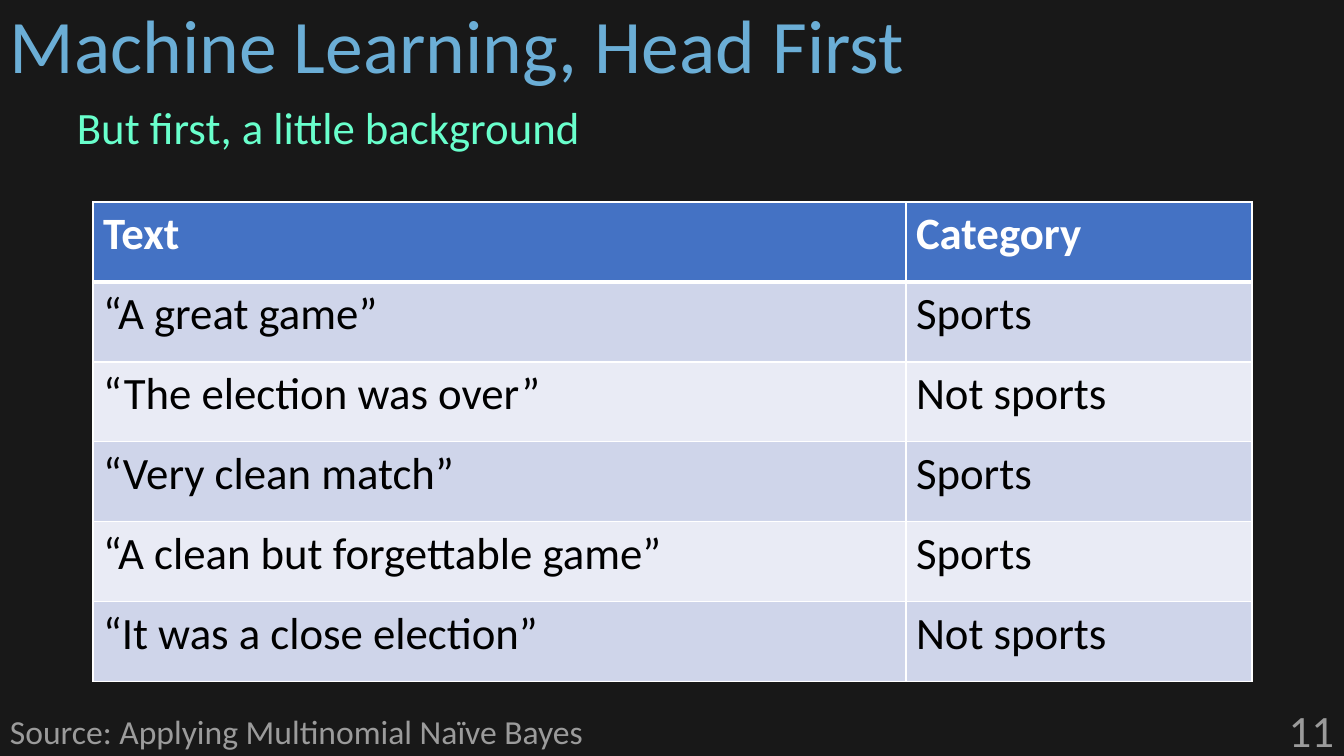
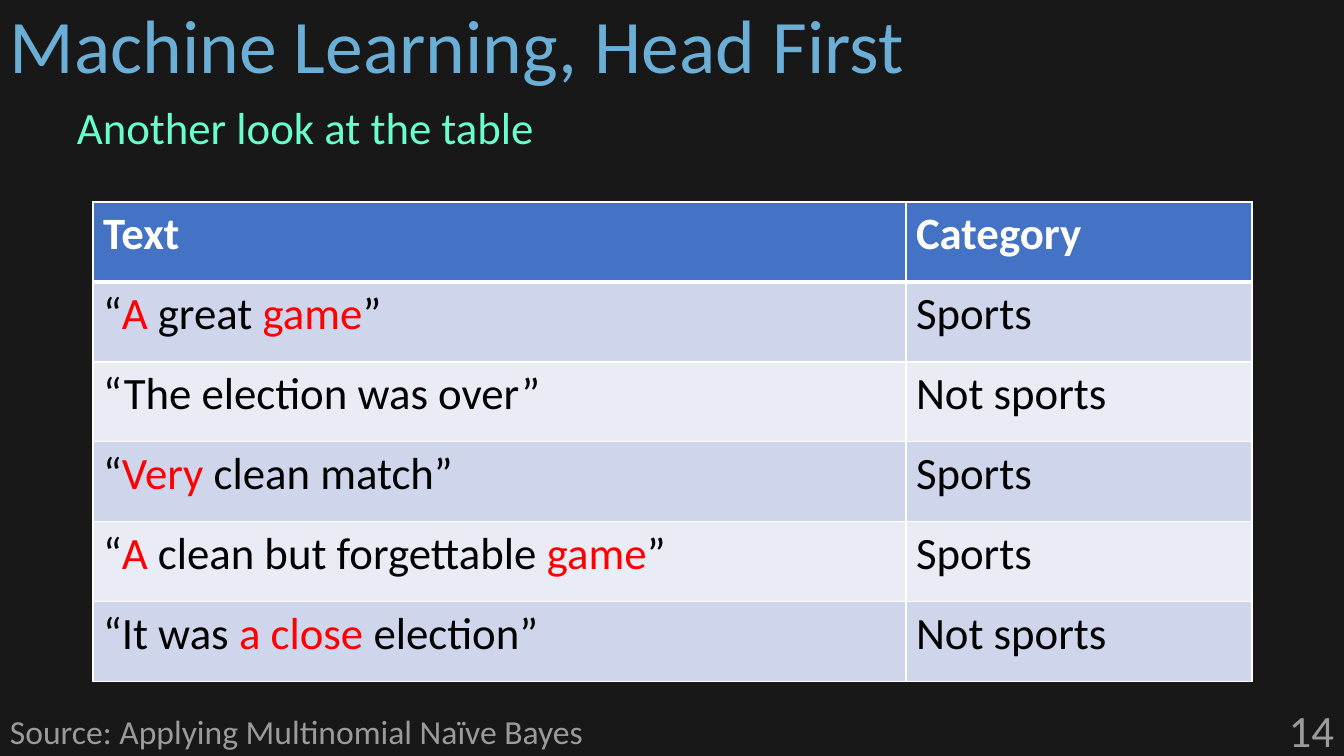
from pptx import Presentation as Deck
from pptx.dml.color import RGBColor as Rgb
from pptx.enum.text import MSO_ANCHOR as Anchor, PP_ALIGN as Align
from pptx.oxml import parse_xml
from pptx.oxml.ns import nsdecls
from pptx.util import Emu, Pt

SCALE = 914400 / 100.8
WIDE, HIGH = 1344, 756
HUES = {
    "back": "181818", "title": "6BAED6", "lead": "69FFCC", "foot": "9B9B9B",
    "head": "4472C4", "odd": "CFD5EA", "even": "E9EBF5",
    "white": "FFFFFF", "black": "000000", "mark": "FF0000",
}
BODY = {"name": "Calibri", "size": Pt(32), "bold": False}
TITLE = {**BODY, "size": Pt(54)}
SOURCE = {**BODY, "size": Pt(24)}
HEAD = {**BODY, "bold": True}
TIGHT = {"line_spacing": 0.9}
LEAD = {**TIGHT, "space_before": Pt(10)}
RIGHT = {"alignment": Align.RIGHT}

COLS = (813, 346)
ROW = 80
LABELS = ("Text", "Category")
# Words between asterisks are marked in red.
SLIDES = (
    (11, "But first, a little background", (
        ("“A great game”", "Sports"),
        ("“The election was over”", "Not sports"),
        ("“Very clean match”", "Sports"),
        ("“A clean but forgettable game”", "Sports"),
        ("“It was a close election”", "Not sports"),
    )),
    (14, "Another look at the table", (
        ("“*A* great *game*”", "Sports"),
        ("“The election was over”", "Not sports"),
        ("“*Very* clean match”", "Sports"),
        ("“*A* clean but forgettable *game*”", "Sports"),
        ("“It was *a close* election”", "Not sports"),
    )),
)


def px(num):
    """Turn pixels into EMU."""
    return Emu(round(num * SCALE))


def rgb(hue):
    """Look up a named colour."""
    return Rgb.from_string(HUES[hue])


def apply(item, form):
    """Set each format value on the item."""
    for key, value in form.items():
        setattr(item, key, value)


def write(para, text, hue, font):
    """Fill a paragraph, with starred words in the mark colour."""
    for num, part in enumerate(text.split("*")):
        if part:
            run = para.add_run()
            run.text = part
            apply(run.font, font)
            run.font.color.rgb = rgb("mark" if num % 2 else hue)


def label(slide, box, text, hue, font, form, anchor=Anchor.TOP):
    """Add a line of text in a box."""
    frame = slide.shapes.add_textbox(*map(px, box)).text_frame
    apply(frame, {"word_wrap": True, "vertical_anchor": anchor})
    para = frame.paragraphs[0]
    apply(para, form)
    write(para, text, hue, font)


def border(cell, top, low):
    """Draw white cell borders, with top and bottom widths in points."""
    props = cell._tc.get_or_add_tcPr()
    for side, width in (("L", 1), ("R", 1), ("T", top), ("B", low)):
        props.append(parse_xml(
            f'<a:ln{side} {nsdecls("a")} w="{Pt(width)}"><a:solidFill>'
            f'<a:srgbClr val="{HUES["white"]}"/></a:solidFill></a:ln{side}>'))


def grid(slide, rows):
    """Add the table of texts and categories."""
    rows = (LABELS, *rows)
    size = (93, 202, sum(COLS), ROW * len(rows))
    table = slide.shapes.add_table(len(rows), len(COLS), *map(px, size)).table
    for col, width in zip(table.columns, COLS):
        col.width = px(width)
    for num, row in enumerate(rows):
        table.rows[num].height = px(ROW)
        fill = ("even" if num % 2 == 0 else "odd") if num else "head"
        hue, font = ("black", BODY) if num else ("white", HEAD)
        for cell, text in zip(table.rows[num].cells, row):
            border(cell, 3 if num == 1 else 1, 1 if num else 3)
            cell.fill.solid()
            cell.fill.fore_color.rgb = rgb(fill)
            write(cell.text_frame.paragraphs[0], text, hue, font)


def frame(slide, page, lead):
    """Add the title, lead line, source and page number."""
    label(slide, (0, 3, 1159, 72), "Machine Learning, Head First",
          "title", TITLE, TIGHT)
    label(slide, (67, 101, 680, 55), lead, "lead", BODY, LEAD)
    label(slide, (0, 707, 605, 49), "Source: Applying Multinomial Naïve Bayes",
          "foot", SOURCE, {}, Anchor.MIDDLE)
    label(slide, (1042, 705, 302, 49), str(page), "foot", BODY, RIGHT,
          Anchor.MIDDLE)


def main():
    """Build and save the slides."""
    deck = Deck()
    apply(deck, {"slide_width": px(WIDE), "slide_height": px(HIGH)})
    back = deck.slide_master.background.fill
    back.solid()
    back.fore_color.rgb = rgb("back")
    for page, lead, rows in SLIDES:
        slide = deck.slides.add_slide(deck.slide_layouts[6])
        frame(slide, page, lead)
        grid(slide, rows)
    deck.save("out.pptx")


main()
